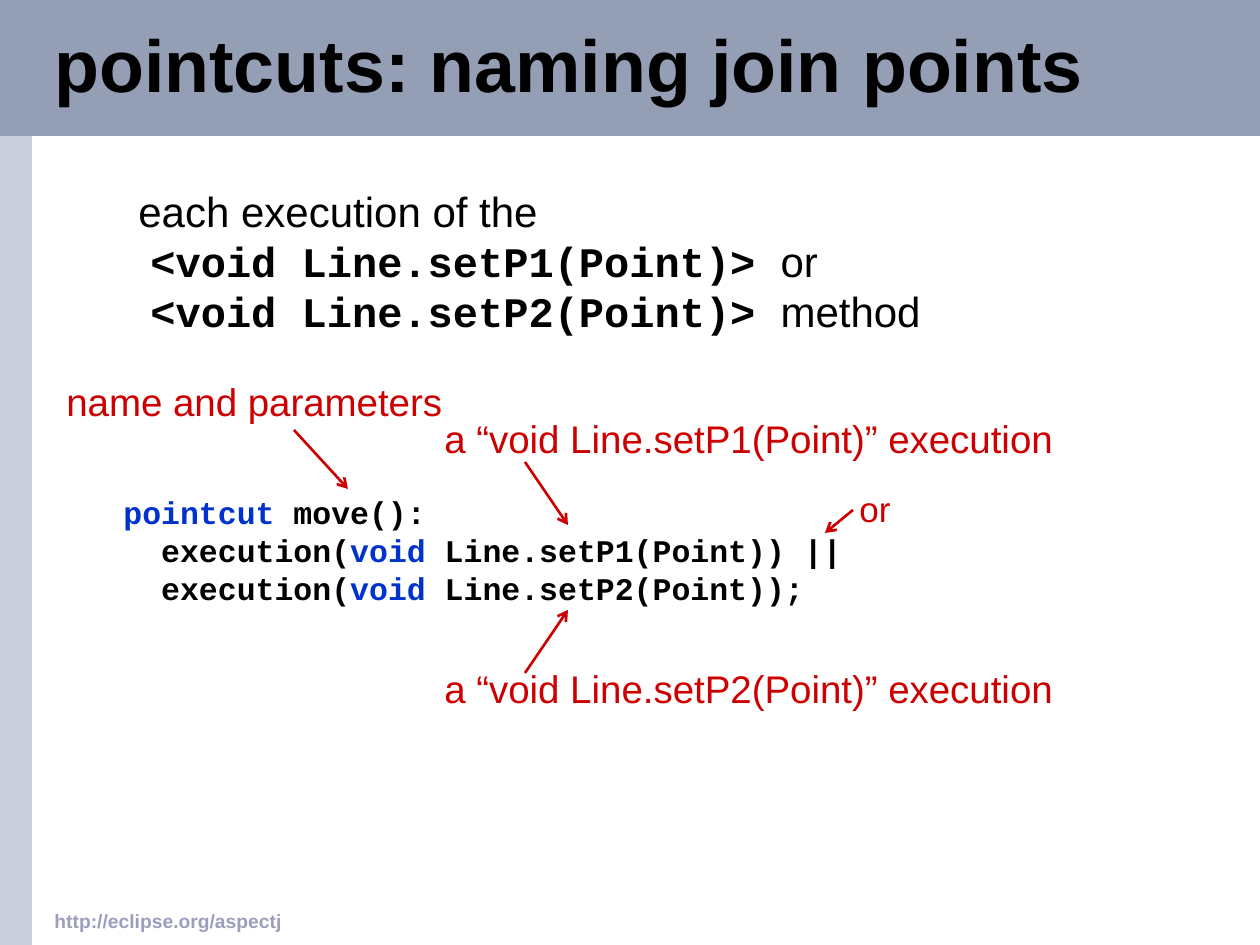
from dataclasses import dataclass
from pptx import Presentation
from pptx.dml.color import RGBColor as Rgb
from pptx.enum.shapes import MSO_CONNECTOR as Conn, MSO_SHAPE as Form
from pptx.enum.text import MSO_ANCHOR as Anchor, PP_ALIGN as Align
from pptx.oxml.ns import qn
from pptx.util import Pt
from lxml.etree import SubElement as Sub

PX = 914400 // 126


@dataclass(frozen=True)
class Theme:
    sans: str = "Arial"
    mono: str = "Courier New"
    black: str = "000000"
    blue: str = "0033CC"
    red: str = "CC0000"
    mauve: str = "9D9DBD"
    band: str = "949FB6"
    side: str = "C8CEDC"
    head: int = 42
    body: int = 24
    note: int = 22
    small: int = 20
    code: int = 18
    foot: int = 11
    pitch: float = 21.7
    line: float = 1.5


T = Theme()
HEAD = (T.sans, T.head, T.black, True)
BODY = (T.sans, T.body, T.black, False)
SIGN = (T.mono, T.body, T.black, True)
CODE = (T.mono, T.code, T.black, True)
KEY = (T.mono, T.code, T.blue, True)
NOTE = (T.sans, T.note, T.red, False)
SMALL = (T.sans, T.small, T.red, False)
FOOT = (T.sans, T.foot, T.mauve, True)

TITLE = "pointcuts: naming join points"
BARS = [((0, 0, 32, 945), T.side), ((0, 0, 1260, 136), T.band)]
INTRO = [
    [("each execution of the", BODY)],
    [("<void Line.setP1(Point)> ", SIGN), ("or", BODY)],
    [("<void Line.setP2(Point)> ", SIGN), ("method", BODY)],
]
RULE = [
    [("pointcut", KEY), (" move():", CODE)],
    [("  execution(", CODE), ("void ", KEY), ("Line.setP1(Point)) ||", CODE)],
    [("  execution(", CODE), ("void ", KEY), ("Line.setP2(Point));", CODE)],
]
NOTES = [
    ("or", SMALL, (847, 481, 57, 55), (853, 510, 825, 533)),
    ("a “void Line.setP2(Point)” execution", NOTE,
     (432, 659, 634, 59), (525, 673, 568, 610)),
    ("name and parameters", NOTE,
     (54, 372, 401, 59), (294, 430, 348, 489)),
    ("a “void Line.setP1(Point)” execution", NOTE,
     (432, 409, 634, 59), (525, 462, 568, 525)),
]
SITE = "http://eclipse.org/aspectj"
INDENT = 12


def emu(box):
    return [n * PX for n in box]


def write(para, text, style):
    run = para.add_run()
    run.text = text
    font = run.font
    font.name, size, color, font.bold = style
    font.size = Pt(size)
    font.color.rgb = Rgb.from_string(color)


def add_text(shapes, box, wrap=True):
    frame = shapes.add_textbox(*emu(box)).text_frame
    frame.word_wrap = wrap
    return frame


def add_bar(shapes, box, color):
    bar = shapes.add_shape(Form.RECTANGLE, *emu(box))
    bar.shadow.inherit = False
    bar.fill.solid()
    bar.fill.fore_color.rgb = Rgb.from_string(color)
    bar.line.fill.background()


def add_arrow(shapes, ends):
    arrow = shapes.add_connector(Conn.STRAIGHT, *emu(ends))
    arrow.line.width = Pt(T.line)
    arrow.line.color.rgb = Rgb.from_string(T.red)
    Sub(arrow.line._get_or_add_ln(), qn("a:tailEnd"), type="arrow")
    Sub(arrow.element.spPr, qn("a:effectLst"))


def set_title(title):
    tree = title.element.getparent()
    tree.append(title.element)
    title.left, title.top, title.width, title.height = emu((42, 4, 1187, 132))
    frame = title.text_frame
    frame.vertical_anchor = Anchor.MIDDLE
    para = frame.paragraphs[0]
    para.alignment = Align.LEFT
    para.line_spacing = 0.85
    write(para, TITLE, HEAD)


def add_intro(shapes):
    para = add_text(shapes, (126, 179, 1029, 164)).paragraphs[0]
    props = para._p.get_or_add_pPr()
    props.set("marL", str(INDENT * PX))
    props.set("indent", str(-INDENT * PX))
    for i, row in enumerate(INTRO):
        if i:
            para.add_line_break()
        for text, style in row:
            write(para, text, style)


def add_code(shapes):
    frame = add_text(shapes, (111, 487, 822, 126))
    for i, row in enumerate(RULE):
        para = frame.add_paragraph() if i else frame.paragraphs[0]
        para.line_spacing = Pt(T.pitch)
        for text, style in row:
            write(para, text, style)


def main():
    deck = Presentation()
    deck.slide_width, deck.slide_height = emu((1260, 945))
    slide = deck.slides.add_slide(deck.slide_layouts[5])
    shapes = slide.shapes
    for box, color in BARS:
        add_bar(shapes, box, color)
    set_title(shapes.title)
    add_intro(shapes)
    for text, style, box, ends in NOTES:
        group = shapes.add_group_shape().shapes
        add_arrow(group, ends)
        write(add_text(group, box, False).paragraphs[0], text, style)
    add_code(shapes)
    write(add_text(shapes, (42, 903, 955, 32)).paragraphs[0], SITE, FOOT)
    deck.save("out.pptx")


if __name__ == "__main__":
    main()
